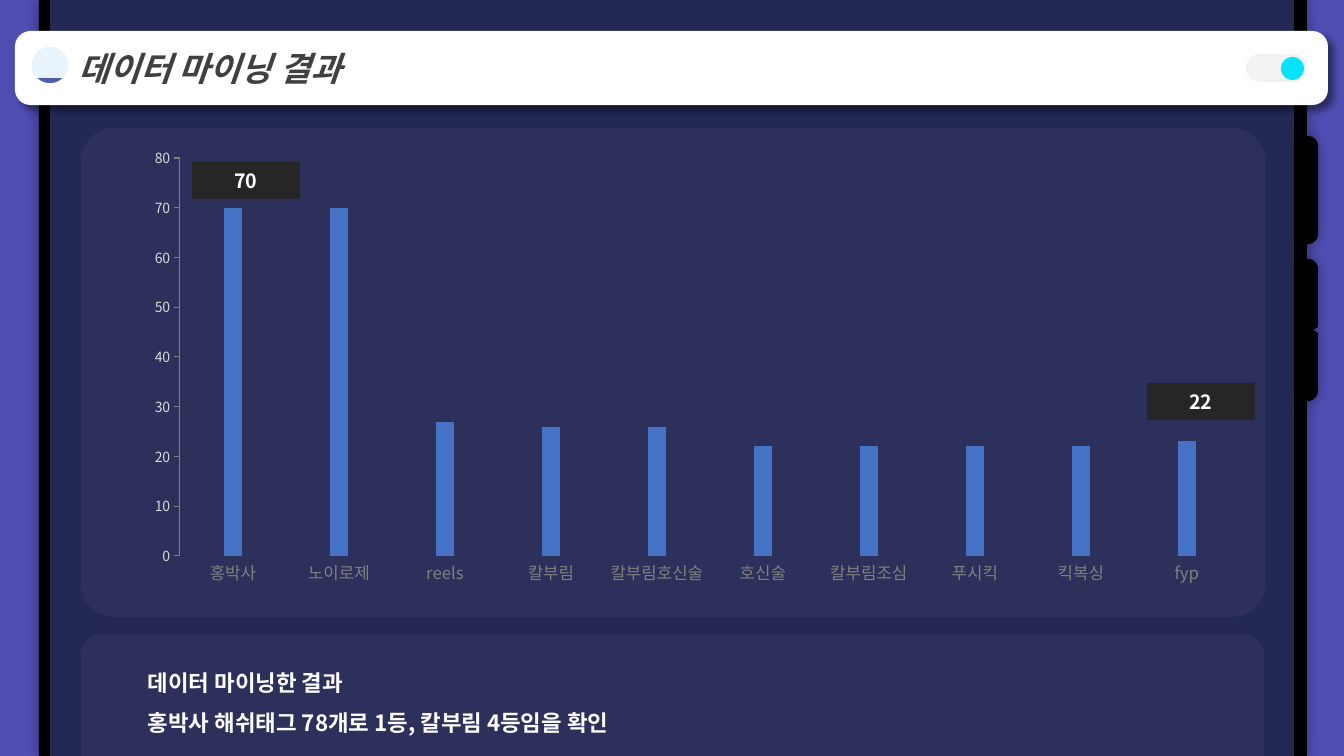
"""Builds a slide that shows hashtag mining results on a phone screen."""
import math
from typing import NamedTuple

from lxml import etree
from pptx import Presentation
from pptx.chart.data import CategoryChartData
from pptx.dml.color import RGBColor
from pptx.enum.chart import XL_CHART_TYPE, XL_TICK_MARK
from pptx.enum.shapes import MSO_SHAPE
from pptx.enum.text import MSO_ANCHOR, PP_ALIGN
from pptx.oxml.ns import qn
from pptx.util import Emu, Pt

COLUMNS = XL_CHART_TYPE.COLUMN_CLUSTERED
TICK_NONE, TICK_OUTSIDE = XL_TICK_MARK.NONE, XL_TICK_MARK.OUTSIDE
RECTANGLE, ROUNDED = MSO_SHAPE.RECTANGLE, MSO_SHAPE.ROUNDED_RECTANGLE
OVAL, ROUND_TOP = MSO_SHAPE.OVAL, MSO_SHAPE.ROUND_2_SAME_RECTANGLE
MIDDLE, LEFT, CENTER = MSO_ANCHOR.MIDDLE, PP_ALIGN.LEFT, PP_ALIGN.CENTER
SCALE = 12192000 / 1344

HASHTAGS = {
    "홍박사": 70, "노이로제": 70, "reels": 27, "칼부림": 26, "칼부림호신술": 26,
    "호신술": 22, "칼부림조심": 22, "푸시킥": 22, "킥복싱": 22, "fyp": 23,
}
FINDINGS = ["데이터 마이닝한 결과", "홍박사 해쉬태그 78개로 1등, 칼부림 4등임을 확인"]


class Theme:
    """Colours, type sizes and shadows of the slide."""
    font = "Noto Sans CJK KR"
    backdrop, screen, black, white = "504EB3", "242855", "000000", "FFFFFF"
    title, callout, bar = "404040", "262626", "4472C4"
    badge_top, badge_bottom = "E9F3FC", "4E5DA7"
    toggle, knob = "F2F2F2", "06E2FA"
    value_label, category_label = "D9D9D9", "808080"
    title_size, body_size, callout_size = 24, 16, 14
    category_size, value_size = 12, 10
    phone_shadow, header_shadow = (36, 9, 0, 0), (45, 5, 5, 45)


class Box(NamedTuple):
    """A rectangle in px."""
    left: int
    top: int
    width: int
    height: int

    def inside(self, left, top, width, height):
        """Return a box whose corner is measured from this one."""
        return Box(self.left + left, self.top + top, width, height)

    def lengths(self):
        """Return the four lengths in EMU."""
        return [px(length) for length in self]


def px(length):
    """Turn px into EMU."""
    return Emu(round(length * SCALE))


def rgb(color):
    """Turn a hex string into a colour."""
    return RGBColor.from_string(color)


def style_font(font, size, color, bold=False, italic=False):
    """Set size, colour, weight and typeface for Latin and Korean text."""
    font.size, font.bold, font.italic = Pt(size), bold, italic
    font.color.rgb = rgb(color)
    font.name = Theme.font
    etree.SubElement(font._element, qn("a:ea"), typeface=Theme.font)


def paint(shape, color, alpha=100, shadow=None):
    """Give a shape a plain fill, no line and an optional shadow."""
    shape.fill.solid()
    shape.fill.fore_color.rgb = rgb(color)
    shape.line.fill.background()
    shape.shadow.inherit = False
    properties = shape._element.spPr
    if alpha < 100:
        fill_color = properties.find(".//" + qn("a:srgbClr"))
        etree.SubElement(fill_color, qn("a:alpha"), val=str(alpha * 1000))
    if shadow:
        opacity, blur, distance, angle = shadow
        outer = etree.SubElement(
            properties.find(qn("a:effectLst")), qn("a:outerShdw"),
            blurRad=str(Pt(blur)), dist=str(Pt(distance)), dir=str(angle * 60000),
            algn="ctr", rotWithShape="0")
        shade = etree.SubElement(outer, qn("a:srgbClr"), val=Theme.black)
        etree.SubElement(shade, qn("a:alpha"), val=str(opacity * 1000))


def add_block(page, kind, box, color, adjustments=(), **effects):
    """Add a painted preset shape."""
    shape = page.shapes.add_shape(kind, *box.lengths())
    for index, value in enumerate(adjustments):
        shape.adjustments[index] = value
    paint(shape, color, **effects)
    return shape


def write(para, text, align, *style):
    """Write one paragraph in one style."""
    para.add_run().text = text
    para.alignment = align
    style_font(para.font, *style)


def add_phone(page, box):
    """Draw the phone body, its screen and its side buttons."""
    add_block(page, RECTANGLE, box, Theme.black, shadow=Theme.phone_shadow)
    add_block(page, RECTANGLE, box.inside(11, 0, box.width - 24, box.height), Theme.screen)
    button = add_block(page, ROUND_TOP, box.inside(1215, 180, 108, 20), Theme.black,
                       (0.5, 0), shadow=Theme.phone_shadow)
    button.rotation = 90
    add_rocker(page, box.inside(1259, 259, 20, 142))


def add_rocker(page, box):
    """Draw the notched volume button with rounded outer corners."""
    radius, middle = 10, box.height / 2
    arc = [(radius * math.sin(math.radians(step)), radius * math.cos(math.radians(step)))
           for step in range(0, 91, 10)]
    upper = [(box.width - radius + across, radius - up) for across, up in arc]
    upper.append((box.width, middle - 3))
    lower = [(across, box.height - down) for across, down in reversed(upper)]
    outline = [(0, 0), *upper, (box.width - 5, middle), *lower, (0, box.height)]
    points = [(px(box.left + across), px(box.top + down)) for across, down in outline]
    builder = page.shapes.build_freeform(*points[0])
    builder.add_line_segments(points[1:], close=True)
    paint(builder.convert_to_shape(), Theme.black, shadow=Theme.phone_shadow)


def add_header(page, box, title):
    """Draw the title bar with its badge and toggle."""
    bar = add_block(page, ROUNDED, box, Theme.white, (0.21,), shadow=Theme.header_shadow)
    frame = bar.text_frame
    frame.vertical_anchor = MIDDLE
    frame.margin_left = px(59)
    write(frame.paragraphs[0], title, LEFT, Theme.title_size, Theme.title, True, True)
    badge = add_block(page, ROUNDED, box.inside(16, 15, 38, 38), Theme.badge_top, (0.5,))
    badge.fill.gradient()
    badge.fill.gradient_angle = 270
    for stop, color in zip(badge.fill.gradient_stops, (Theme.badge_top, Theme.badge_bottom)):
        stop.position = 0.85
        stop.color.rgb = rgb(color)
    badge.line.color.rgb = rgb(Theme.white)
    badge.line.width = Pt(1)
    add_block(page, ROUNDED, box.inside(1231, 23, 61, 28), Theme.toggle, (0.5,))
    add_block(page, OVAL, box.inside(1266, 26, 23, 23), Theme.knob)


def add_callout(page, box, text):
    """Draw a dark label above a column."""
    frame = add_block(page, RECTANGLE, box, Theme.callout).text_frame
    frame.vertical_anchor = MIDDLE
    write(frame.paragraphs[0], text, CENTER, Theme.callout_size, Theme.white, True)


def add_hashtag_chart(page, box):
    """Draw the column chart of hashtag counts."""
    data = CategoryChartData()
    data.categories = list(HASHTAGS)
    data.add_series("Series 1", list(HASHTAGS.values()))
    chart = page.shapes.add_chart(COLUMNS, *box.lengths(), data).chart
    chart.has_legend = chart.has_title = False
    style_font(chart.font, Theme.value_size, Theme.value_label)
    plot = chart.plots[0]
    plot.gap_width, plot.vary_by_categories = 500, False
    fill = plot.series[0].format.fill
    fill.solid()
    fill.fore_color.rgb = rgb(Theme.bar)
    categories, values = chart.category_axis, chart.value_axis
    categories.major_tick_mark = TICK_NONE
    categories.format.line.fill.background()
    style_font(categories.tick_labels.font, Theme.category_size, Theme.category_label)
    values.has_major_gridlines = False
    values.major_tick_mark = TICK_OUTSIDE
    values.minimum_scale, values.maximum_scale, values.major_unit = 0, 80, 10
    values.format.line.color.rgb = rgb(Theme.category_label)
    area = chart._chartSpace.find(".//" + qn("c:plotArea"))
    for layout in area.findall(qn("c:layout")):
        area.remove(layout)
    layout = etree.Element(qn("c:layout"))
    area.insert(0, layout)
    manual = etree.SubElement(layout, qn("c:manualLayout"))
    settings = {"layoutTarget": "inner", "xMode": "edge", "yMode": "edge",
                "x": 47 / box.width, "y": 19 / box.height,
                "w": 1060 / box.width, "h": 398 / box.height}
    for name, value in settings.items():
        etree.SubElement(manual, qn("c:" + name), val=str(value))


def add_chart_panel(page, box):
    """Draw the panel with the chart and its two callouts."""
    add_block(page, ROUNDED, box, Theme.white, (0.067,), alpha=4)
    add_hashtag_chart(page, box.inside(52, 11, 1130, 456))
    add_callout(page, box.inside(111, 34, 108, 37), "70")
    add_callout(page, box.inside(1066, 255, 108, 37), "22")


def add_findings_panel(page, box):
    """Draw the panel with the written findings."""
    add_block(page, ROUND_TOP, box, Theme.white, alpha=4)
    frame = page.shapes.add_textbox(*box.inside(57, 17, 761, 87).lengths()).text_frame
    frame.word_wrap = True
    for index, finding in enumerate(FINDINGS):
        para = frame.add_paragraph() if index else frame.paragraphs[0]
        para.line_spacing = 1.5
        write(para, finding, LEFT, Theme.body_size, Theme.white, True)


def main():
    """Build and save the deck."""
    deck = Presentation()
    deck.slide_width, deck.slide_height = px(1344), px(756)
    page = deck.slides.add_slide(deck.slide_layouts[6])
    page.background.fill.solid()
    page.background.fill.fore_color.rgb = rgb(Theme.backdrop)
    add_phone(page, Box(39, 0, 1268, 756))
    add_header(page, Box(15, 31, 1313, 74), "데이터 마이닝 결과")
    add_chart_panel(page, Box(81, 128, 1184, 489))
    add_findings_panel(page, Box(81, 634, 1183, 122))
    deck.save("out.pptx")


if __name__ == "__main__":
    main()
